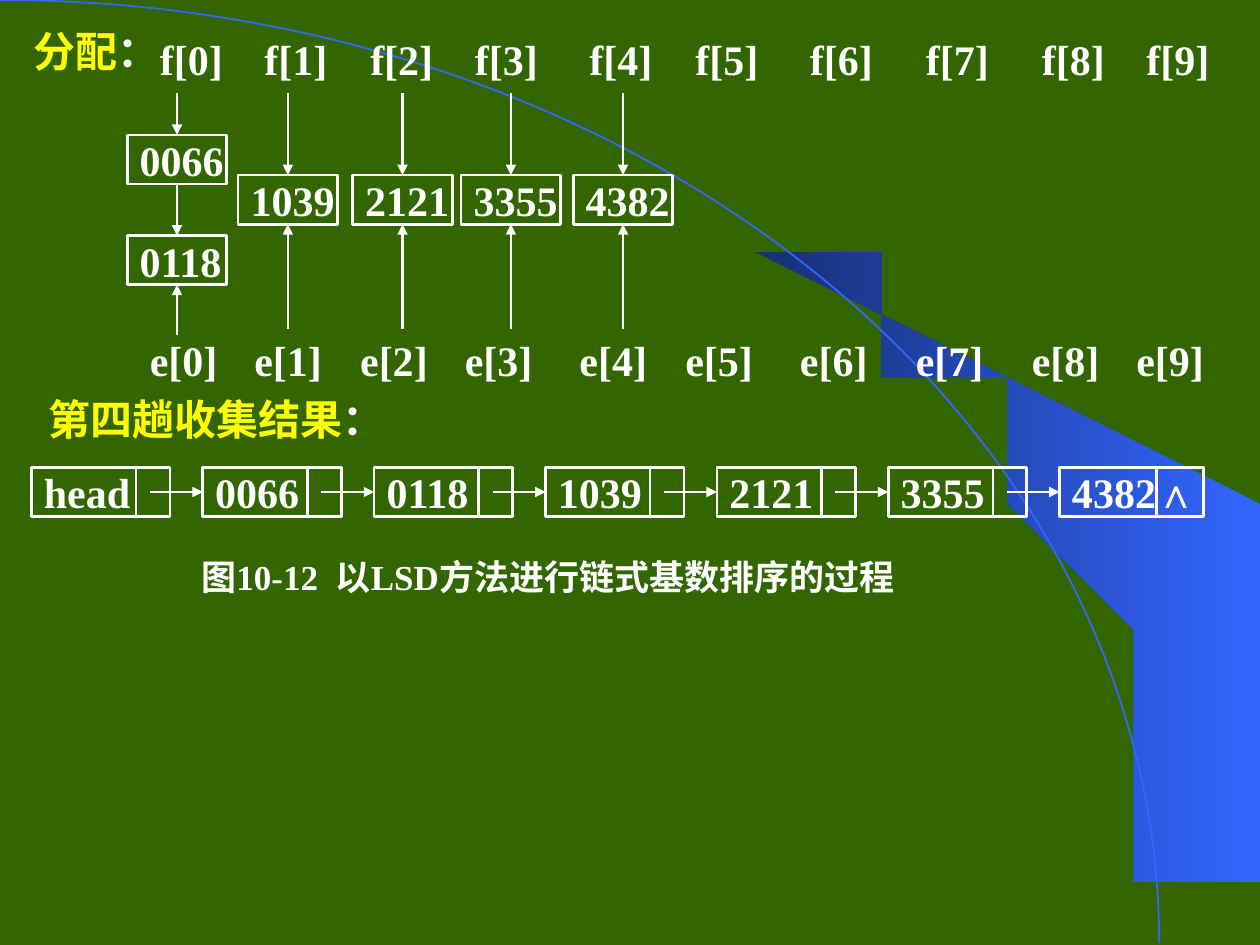
from lxml import etree
from pptx import Presentation, util as u
from pptx.dml.color import RGBColor
from pptx.enum import lang, shapes, text
from pptx.oxml.ns import qn

GREEN = RGBColor(0x33, 0x66, 0x00)
BLUE = RGBColor(0x33, 0x66, 0xFF)
NAVY = RGBColor(0x17, 0x2F, 0x75)
WHITE = RGBColor(0xFF, 0xFF, 0xFF)
YELLOW = RGBColor(0xFF, 0xFF, 0x00)
FONT = "Times New Roman"

# Content
BUCKETS = [["0066", "0118"], ["1039"], ["2121"], ["3355"], ["4382"]]
CHAIN = ["head", "0066", "0118", "1039", "2121", "3355", "4382∧"]
CAPTION = ["图10-12", " ", "以LSD方法进行链式基数排序的过程"]

# Grid, in inches
LABEL_X = [1.17, 2, 2.84, 3.67, 4.58, 5.42, 6.33, 7.25, 8.17, 9]
BOX_X = [1.01, 1.89, 2.8, 3.66, 4.55]
BOX_W, ROW_H = 0.79, 0.39
F_Y, E_Y = 0.27, 2.66
CHAIN_X, CHAIN_Y, STEP, NODE_W = 0.25, 3.71, 1.36, 1.1
SWOOSH = [(9.2, 7.48), (9.99, 7.49), (9.99, 4.23), (5.89, 1.73), (6.24, 1.99),
          (6.53, 2.22), (6.85, 2.5), (7.16, 2.8), (7.62, 3.3), (8.03, 3.84),
          (8.32, 4.31), (8.58, 4.79), (8.78, 5.28), (8.93, 5.72),
          (9.03, 6.09), (9.13, 6.56), (9.17, 6.96)]

prs = Presentation()
prs.slide_width, prs.slide_height = u.Inches(10), u.Inches(7.5)
slide = prs.slides.add_slide(prs.slide_layouts[6])
parts = slide.shapes


def inches(*vals):
    return [u.Inches(v) for v in vals]


def write(shape, runs, size=24):
    frame = shape.text_frame
    frame.word_wrap = False
    frame.vertical_anchor = text.MSO_ANCHOR.MIDDLE
    para = frame.paragraphs[0]
    para.alignment = text.PP_ALIGN.LEFT
    for words, color in runs:
        run = para.add_run()
        run.text = words
        font = run.font
        font.name, font.size, font.bold = FONT, u.Pt(size), True
        font.color.rgb = color
        font.language_id = lang.MSO_LANGUAGE_ID.SIMPLIFIED_CHINESE
    return para


def label(x, y, wide, runs, size=24):
    return write(parts.add_textbox(*inches(x, y, wide, ROW_H)), runs, size)


def box(x, y, wide, words):
    shape = parts.add_shape(shapes.MSO_SHAPE.RECTANGLE, *inches(x, y, wide, ROW_H))
    shape.shadow.inherit = False
    shape.fill.background()
    shape.line.color.rgb, shape.line.width = WHITE, u.Pt(1.5)
    write(shape, [(words, WHITE)])
    return shape


def line(x1, y1, x2, y2, arrow=True):
    link = parts.add_connector(shapes.MSO_CONNECTOR.STRAIGHT, *inches(x1, y1, x2, y2))
    link.line.color.rgb, link.line.width = WHITE, u.Pt(1.5)
    if arrow:
        etree.SubElement(link.line._get_or_add_ln(), qn("a:tailEnd"), type="triangle")
    etree.SubElement(link._element.spPr, qn("a:effectLst"))
    return link


# Background: green field, gradient swoosh and quarter arc
slide.background.fill.solid()
slide.background.fill.fore_color.rgb = GREEN

pen = parts.build_freeform(*SWOOSH[0], scale=u.Inches(1))
pen.add_line_segments(SWOOSH[1:], close=True)
swoosh = pen.convert_to_shape()
swoosh.shadow.inherit = False
swoosh.line.fill.background()
swoosh.fill.gradient()
swoosh.fill.gradient_angle = 180
for stop, color in zip(swoosh.fill.gradient_stops, (BLUE, NAVY)):
    stop.color.rgb = color

arc = parts.add_shape(shapes.MSO_SHAPE.ARC, *inches(-9.2, 0, 18.4, 14.97))
arc.shadow.inherit = False
arc.fill.background()
arc.line.color.rgb, arc.line.width = BLUE, u.Pt(1)

# Headings
label(0.17, 0.21, 0.94, [("分配", YELLOW), ("：", WHITE)])
label(0.29, 3.13, 2.68, [("第四趟收集结果", YELLOW), ("：", WHITE)])

# Front and end pointers
for i, x in enumerate(LABEL_X):
    label(x, F_Y, 0.75, [(f"f[{i}]", WHITE)])
    label(x - 0.08, E_Y, 0.75, [(f"e[{i}]", WHITE)])

# Buckets, with arrows from both pointers
for x, keys in zip(BOX_X, BUCKETS):
    pair = len(keys) > 1
    top = 1.07 if pair else 1.39
    mid = x + BOX_W / 2
    cells = [box(x, top + 0.8 * j, BOX_W, key) for j, key in enumerate(keys)]
    line(mid, 0.74, mid, top).end_connect(cells[0], 0)
    for upper, lower in zip(cells, cells[1:]):
        link = line(mid, top, mid, top)
        link.begin_connect(upper, 2)
        link.end_connect(lower, 0)
    line(mid, 2.66 if pair else 2.61, mid, top).end_connect(cells[-1], 2)

# Collected chain
mid = CHAIN_Y + ROW_H / 2
last = len(CHAIN) - 1
nodes = []
for i, key in enumerate(CHAIN):
    x = CHAIN_X + i * STEP
    nodes.append(box(x, CHAIN_Y, NODE_W + 0.04 * (i == last), key))
    split = x + (0.77 if i == last else 0.83)
    line(split, CHAIN_Y, split, CHAIN_Y + ROW_H, arrow=False)
for i, node in enumerate(nodes[1:]):
    x = CHAIN_X + i * STEP
    line(x + 0.94, mid, x + STEP, mid).end_connect(node, 1)

# Caption, with a widened space after the number
para = label(1.5, 4.38, 5.75, [(words, WHITE) for words in CAPTION], 20)
para.runs[1].font._element.set("spc", "500")

prs.save("out.pptx")
